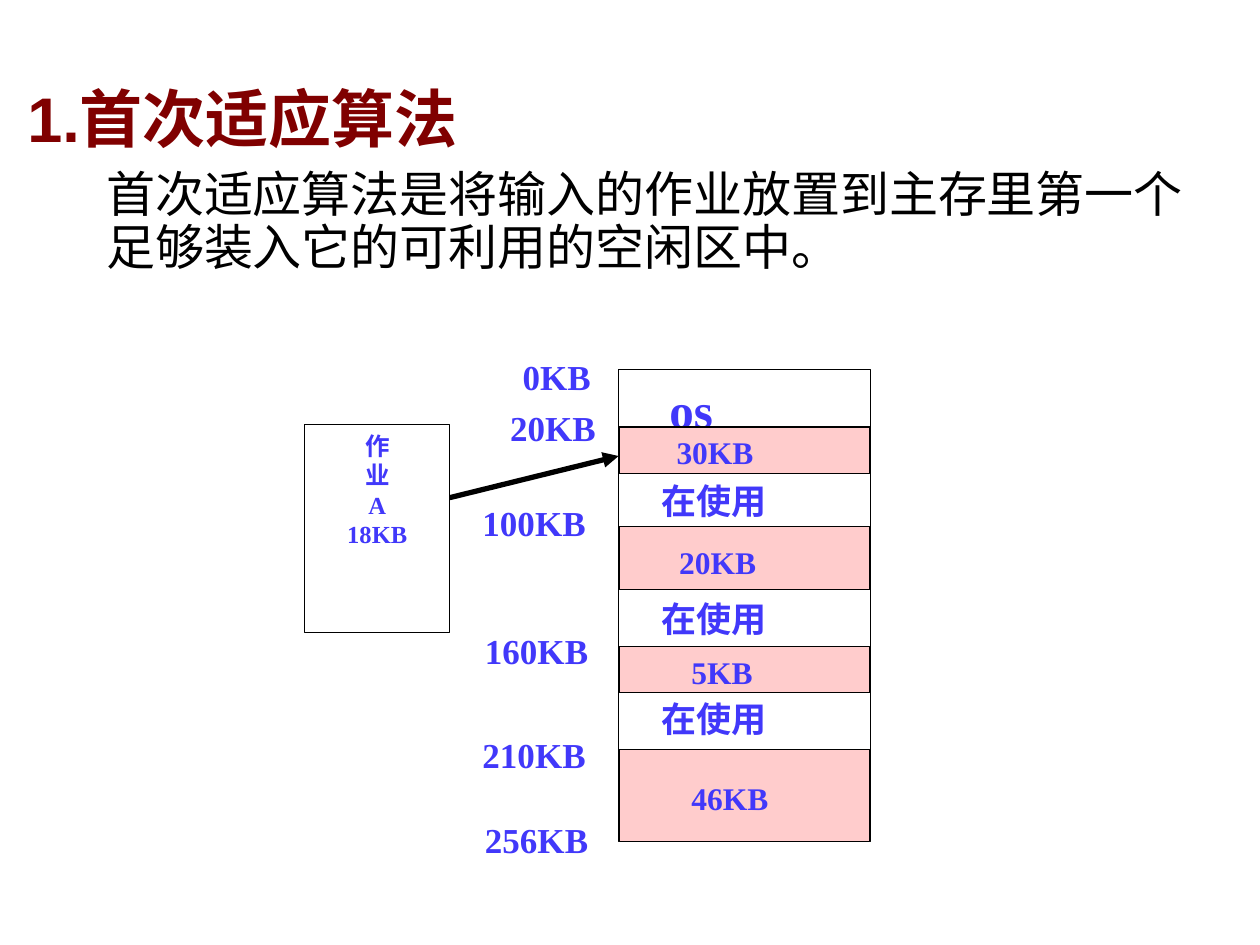
from lxml import etree
from pptx import Presentation
from pptx.dml.color import RGBColor
from pptx.enum import shapes, text
from pptx.oxml import ns
from pptx.util import Pt

BLACK = RGBColor(0, 0, 0)
WHITE = RGBColor(0xFF, 0xFF, 0xFF)
MAROON = RGBColor(0x80, 0, 0)
BLUE = RGBColor(0x41, 0x38, 0xFA)
PINK = RGBColor(0xFF, 0xCC, 0xCC)

MEMORY_LEFT, MEMORY_TOP, MEMORY_WIDTH, MEMORY_HEIGHT = 353.5, 211, 144, 270
FREE_AREAS = [
    (244, 270.7, "30KB", 379.5, 244),
    (301, 337, "20KB", 381, 306.7),
    (369.4, 395.6, "5KB", 388, 369.4),
    (428.4, 481, "46KB", 388, 441.4),
]
USED_TOPS = [270.7, 337.7, 395.3]
ADDRESSES = [
    ("0KB", 291.6, 199.4),
    ("20KB", 284.4, 229),
    ("100KB", 268.6, 283),
    ("160KB", 270, 356.4),
    ("210KB", 268.6, 415.4),
    ("256KB", 270, 464.4),
]


def style_text(frame, size, color=BLUE, name="Times New Roman", bold=True):
    for para in frame.paragraphs:
        for span in para.runs:
            style_span(span, size, color, name, bold)


def style_span(span, size, color, name, bold):
    span.font.size = Pt(size)
    span.font.name = name
    span.font.bold = bold
    span.font.color.rgb = color


def add_label(page, words, left, top, width, height, size):
    box = page.shapes.add_textbox(Pt(left), Pt(top), Pt(width), Pt(height))
    box.text_frame.word_wrap = True
    box.text_frame.text = words
    style_text(box.text_frame, size)


def add_block(page, left, top, width, height, fill):
    block = page.shapes.add_shape(
        shapes.MSO_SHAPE.RECTANGLE, Pt(left), Pt(top), Pt(width), Pt(height))
    block.shadow.inherit = False
    block.fill.solid()
    block.fill.fore_color.rgb = fill
    block.line.color.rgb = BLACK
    block.line.width = Pt(0.75)
    return block


def fill_block(block, words, size, align):
    frame = block.text_frame
    frame.vertical_anchor = text.MSO_ANCHOR.TOP
    frame.text = words
    for para in frame.paragraphs:
        para.alignment = align
    style_text(frame, size)


def add_line(page, start, end, width):
    line = page.shapes.add_connector(
        shapes.MSO_CONNECTOR.STRAIGHT, *(Pt(value) for value in start + end))
    line.line.color.rgb = BLACK
    line.line.width = Pt(width)
    etree.SubElement(line._element.spPr, ns.qn("a:effectLst"))
    return line


def add_arrow(page, start, end):
    arrow = add_line(page, start, end, 3)
    etree.SubElement(arrow.line._get_or_add_ln(), ns.qn("a:tailEnd"), type="triangle")


def add_heading(page):
    box = page.shapes.add_textbox(Pt(8.6), Pt(46.8), Pt(697.7), Pt(120))
    frame = box.text_frame
    frame.word_wrap = True
    frame.text = "1.首次适应算法\n首次适应算法是将输入的作业放置到主存里第一个足够装入它的可利用的空闲区中。"
    title, body = frame.paragraphs
    for para in (title, body):
        para.line_spacing = 0.9
    body.space_before = Pt(8)
    body._p.get_or_add_pPr().set("marL", str(Pt(45)))
    style_span(title.runs[0], 36, MAROON, "Arial", True)
    style_span(body.runs[0], 28, BLACK, "Arial", False)


def add_job(page):
    job = add_block(page, 174.2, 242.6, 82.8, 118.8, WHITE)
    fill_block(job, "作\n业\nA\n18KB", 14, text.PP_ALIGN.CENTER)


def add_memory(page):
    memory = add_block(
        page, MEMORY_LEFT, MEMORY_TOP, MEMORY_WIDTH, MEMORY_HEIGHT, WHITE)
    memory.text_frame.margin_left = Pt(29)
    memory.text_frame.margin_top = Pt(6)
    fill_block(memory, "os", 28, text.PP_ALIGN.LEFT)
    for top, bottom, words, label_left, label_top in FREE_AREAS:
        for edge in (top, bottom):
            if edge < MEMORY_TOP + MEMORY_HEIGHT:
                add_line(page, (354, edge), (497.5, edge), 0.75)
        add_block(page, 354, top, 143, bottom - top, PINK)
        add_label(page, words, label_left, label_top, 84, 30, 18)
    for top in USED_TOPS:
        add_label(page, "在使用", 370.8, top, 110, 31.7, 20)
    for words, left, top in ADDRESSES:
        add_label(page, words, left, top, 90, 31.7, 20)


def main():
    deck = Presentation()
    deck.slide_width, deck.slide_height = Pt(720), Pt(540)
    page = deck.slides.add_slide(deck.slide_layouts[6])
    add_heading(page)
    add_job(page)
    add_memory(page)
    add_arrow(page, (257, 284.4), (353.5, 260.6))
    deck.save("out.pptx")


if __name__ == "__main__":
    main()
